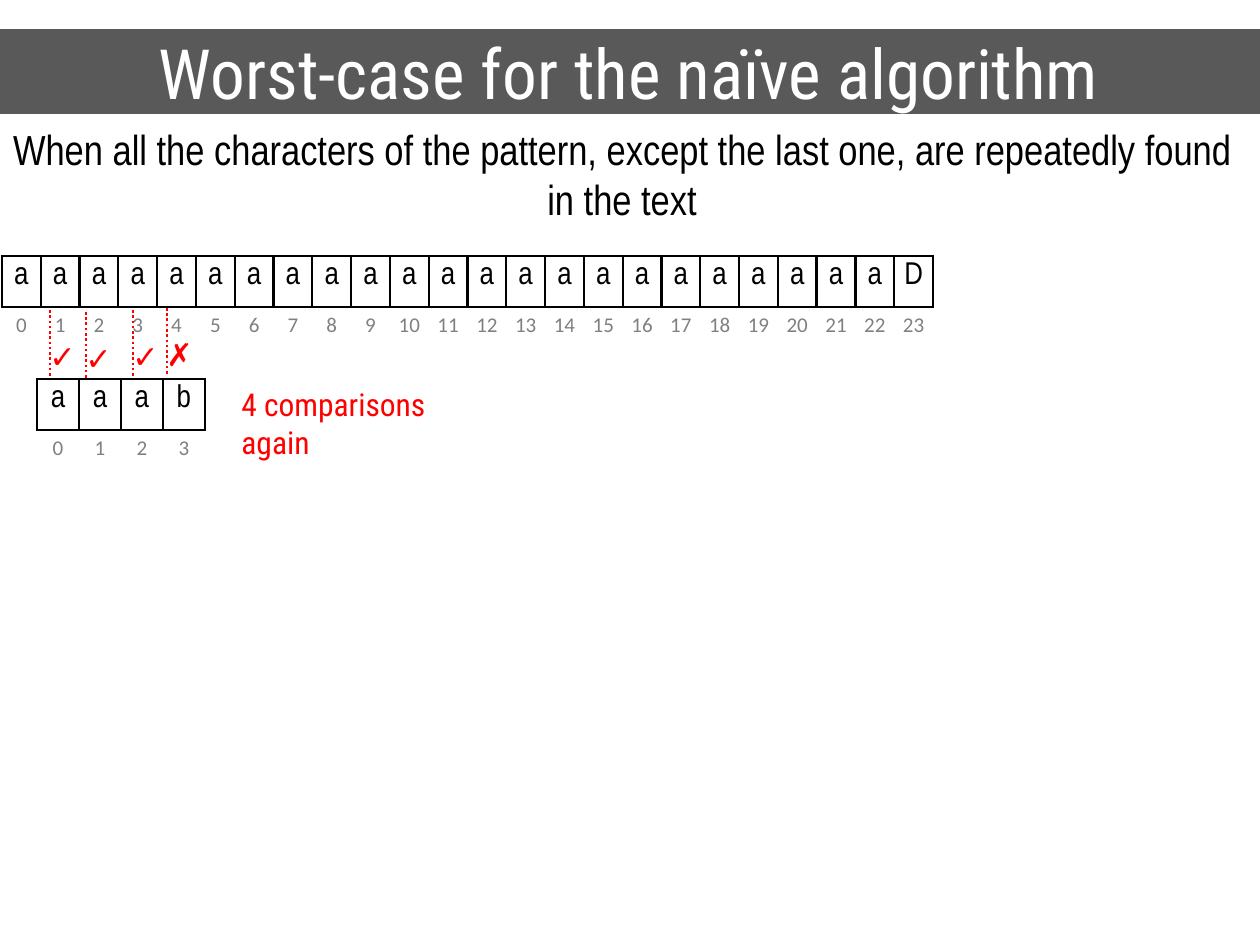
from dataclasses import dataclass

from lxml.etree import SubElement
from pptx import Presentation
from pptx.dml.color import RGBColor
from pptx.enum.dml import MSO_LINE
from pptx.enum.shapes import MSO_CONNECTOR, MSO_SHAPE
from pptx.enum.text import MSO_ANCHOR, MSO_AUTO_SIZE, PP_ALIGN
from pptx.oxml.ns import qn
from pptx.util import Pt

EMU_PER_PX = 914400 / 126
ROW_HEIGHT = 51
BLACK, WHITE, GREY, DARK, RED = "000000", "FFFFFF", "808080", "595959", "FF0000"


@dataclass(frozen=True)
class Style:
    font: str
    size: float
    color: str
    align: PP_ALIGN = PP_ALIGN.LEFT


@dataclass(frozen=True)
class CharacterArray:
    characters: str
    left: int
    top: int
    width: int


@dataclass(frozen=True)
class Comparison:
    mark: str
    left: int
    top: int
    width: int = 50


TITLE = Style("Roboto Condensed", 39.6, WHITE, PP_ALIGN.CENTER)
STATEMENT = Style("Arial Narrow", 24, BLACK, PP_ALIGN.CENTER)
CHARACTER = Style("Arial Narrow", 18, BLACK, PP_ALIGN.CENTER)
INDEX = Style("Calibri", 12, GREY, PP_ALIGN.CENTER)
MARK = Style("Arial", 18, RED)
COUNT = Style("Roboto Condensed", 18, RED)

ARRAYS = [
    CharacterArray("a" * 23 + "D", 2, 256, 932),
    CharacterArray("aaab", 37, 379, 168),
]
COMPARISONS = [
    Comparison("✓", 37, 331),
    Comparison("✓", 73, 333),
    Comparison("✓", 120, 331),
    Comparison("✗", 154, 329, 47),
]


def px(length: float) -> int:
    return round(length * EMU_PER_PX)


def rgb(color: str) -> RGBColor:
    return RGBColor.from_string(color)


def write(frame, text: str, style: Style) -> None:
    paragraph = frame.paragraphs[0]
    paragraph.alignment = style.align
    run = paragraph.add_run()
    run.text = text
    run.font.name = style.font
    run.font.size = Pt(style.size)
    run.font.color.rgb = rgb(style.color)


def add_text(shapes, text: str, style: Style, left: int, top: int,
             width: int, height: int, wrap: bool = True) -> None:
    box = shapes.add_textbox(px(left), px(top), px(width), px(height))
    box.text_frame.word_wrap = wrap
    box.text_frame.auto_size = MSO_AUTO_SIZE.SHAPE_TO_FIT_TEXT
    write(box.text_frame, text, style)


def set_borders(cell, visible_sides: str) -> None:
    properties = cell._tc.get_or_add_tcPr()
    for position, side in enumerate("LRTB"):
        border = properties.makeelement(qn(f"a:ln{side}"), {"w": str(Pt(1.5))})
        properties.insert(position, border)
        if side in visible_sides:
            fill = SubElement(border, qn("a:solidFill"))
            SubElement(fill, qn("a:srgbClr"), val=BLACK)
        else:
            SubElement(border, qn("a:noFill"))


def fill_cell(cell, text: str, style: Style, visible_sides: str) -> None:
    cell.margin_left = cell.margin_right = px(5)
    cell.margin_top = cell.margin_bottom = px(6)
    cell.fill.background()
    set_borders(cell, visible_sides)
    write(cell.text_frame, text, style)


def add_array(shapes, array: CharacterArray) -> None:
    count = len(array.characters)
    table = shapes.add_table(2, count, px(array.left), px(array.top),
                             px(array.width), px(2 * ROW_HEIGHT)).table
    table.first_row = table.horz_banding = False
    for row in table.rows:
        row.height = px(ROW_HEIGHT)
    for index, character in enumerate(array.characters):
        table.columns[index].width = px(array.width / count)
        fill_cell(table.cell(0, index), character, CHARACTER, "LRTB")
        fill_cell(table.cell(1, index), str(index), INDEX, "T")


def add_comparison(shapes, comparison: Comparison) -> None:
    group = shapes.add_group_shape().shapes
    add_text(group, comparison.mark, MARK, comparison.left, comparison.top,
             comparison.width, 50, wrap=False)
    x, top = px(comparison.left + 13), comparison.top - 21
    link = group.add_connector(MSO_CONNECTOR.STRAIGHT, x, px(top), x, px(top + 67))
    link.line.color.rgb = rgb(RED)
    link.line.width = Pt(1.5)
    link.line.dash_style = MSO_LINE.ROUND_DOT
    SubElement(link._element.spPr, qn("a:effectLst"))


def add_title(shapes, text: str) -> None:
    banner = shapes.add_shape(MSO_SHAPE.RECTANGLE, px(-2), px(29), px(1262), px(85))
    banner.shadow.inherit = False
    banner.fill.solid()
    banner.fill.fore_color.rgb = rgb(DARK)
    banner.line.fill.background()
    banner.text_frame.word_wrap = True
    banner.text_frame.vertical_anchor = MSO_ANCHOR.MIDDLE
    write(banner.text_frame, text, TITLE)


def main() -> None:
    presentation = Presentation()
    presentation.slide_width, presentation.slide_height = px(1260), px(945)
    shapes = presentation.slides.add_slide(presentation.slide_layouts[6]).shapes

    # Title banner
    add_title(shapes, "Worst-case for the naïve algorithm")

    # Text and pattern with their indices
    for array in ARRAYS:
        add_array(shapes, array)

    # Character comparisons between the two arrays
    for comparison in COMPARISONS:
        add_comparison(shapes, comparison)

    # Comparison count and statement
    add_text(shapes, "4 comparisons again", COUNT, 229, 379, 231, 50)
    add_text(shapes, "When all the characters of the pattern, except the last one, "
             "are repeatedly found in the text", STATEMENT, 0, 117, 1244, 115)

    presentation.save("out.pptx")


if __name__ == "__main__":
    main()
